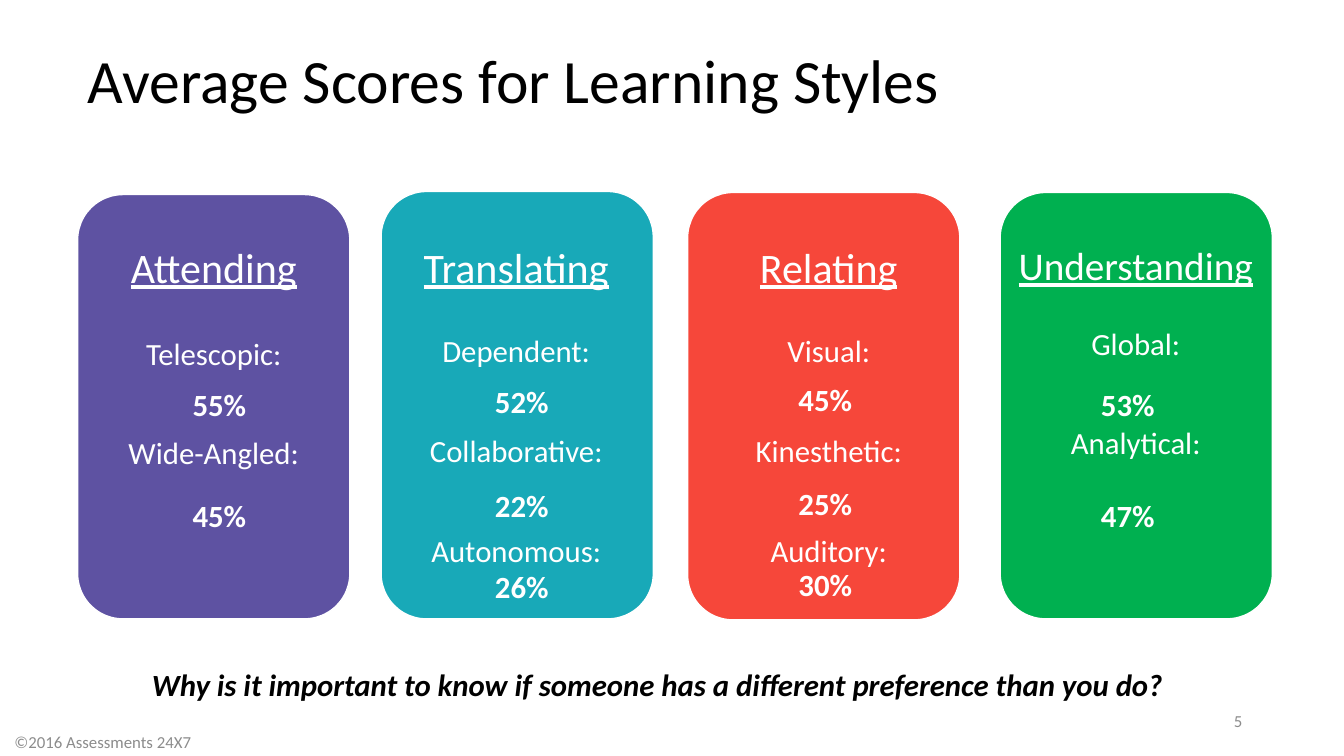
from dataclasses import dataclass
from pptx import Presentation
from pptx import util as u
from pptx.dml.color import RGBColor
from pptx.enum import shapes, text

PX = 9144  # EMU per px, 100 px to the inch
FONT = "Calibri"
COLORS = {
    "purple": "5E52A2", "teal": "18A9B8", "red": "F6473A", "green": "00B050",
    "white": "FFFFFF", "black": "000000", "gray": "8C8C8C",
}
CENTER = text.PP_ALIGN.CENTER
MIDDLE = text.MSO_ANCHOR.MIDDLE


@dataclass
class Line:
    wording: str
    size: int
    color: str = "white"
    before: float = 0
    bold: bool = False
    italic: bool = False
    underline: bool = False


@dataclass
class Box:
    left: int
    top: int
    width: int
    height: int


@dataclass
class Card:
    color: str
    box: Box
    heading: str
    heading_size: int
    label_box: Box
    label_gap: float  # points between heading and first label
    labels: list[str]
    value_box: Box
    values: list[str]
    value_gaps: list[float]  # points before each value


def rgb(name: str) -> RGBColor:
    return RGBColor.from_string(COLORS[name])


def place(shape, box: Box) -> None:
    shape.left, shape.top = box.left * PX, box.top * PX
    shape.width, shape.height = box.width * PX, box.height * PX


def write(shape, lines: list[Line], align, anchor=text.MSO_ANCHOR.TOP,
          spacing: float = 1.0) -> None:
    frame = shape.text_frame
    frame.word_wrap = True
    frame.vertical_anchor = anchor
    frame.text = "\n".join(line.wording for line in lines)
    for paragraph, line in zip(frame.paragraphs, lines):
        paragraph.alignment = align
        paragraph.line_spacing = spacing
        paragraph.space_before = u.Pt(line.before)
        for run in paragraph.runs:
            font = run.font
            font.name, font.size = FONT, u.Pt(line.size)
            font.bold, font.italic = line.bold, line.italic
            font.underline = line.underline
            font.color.rgb = rgb(line.color)


def add_text(slide, box: Box, lines: list[Line], align=CENTER,
             anchor=text.MSO_ANCHOR.TOP, spacing: float = 1.0):
    shape = slide.shapes.add_textbox(0, 0, 0, 0)
    place(shape, box)
    write(shape, lines, align, anchor, spacing)
    return shape


def add_card(slide, card: Card) -> None:
    # Coloured panel
    panel = slide.shapes.add_shape(shapes.MSO_SHAPE.ROUNDED_RECTANGLE, 0, 0, 0, 0)
    place(panel, card.box)
    panel.shadow.inherit = False
    panel.fill.solid()
    panel.fill.fore_color.rgb = rgb(card.color)
    panel.line.color.rgb = rgb("white")
    panel.line.width = u.Pt(1)

    # Heading and labels
    lines = [Line(card.heading, card.heading_size, underline=True)]
    for index, label in enumerate(card.labels):
        lines.append(Line(label, 22, before=47.5 if index else card.label_gap))
    frame = add_text(slide, card.label_box, lines, spacing=0.9).text_frame
    frame.margin_left = frame.margin_top = frame.margin_right = 23 * PX
    frame.margin_bottom = 0

    # Percentages
    add_text(slide, card.value_box,
             [Line(value, 22, before=gap, bold=True)
              for value, gap in zip(card.values, card.value_gaps)])


CARDS = [
    Card("purple", Box(77, 193, 270, 421), "Attending", 30,
         Box(77, 222, 270, 380), 33, ["Telescopic:", "Wide-Angled:"],
         Box(160, 378, 115, 158), ["55%", "45%"], [0, 53]),
    Card("teal", Box(378, 190, 270, 424), "Translating", 30,
         Box(377, 222, 270, 380), 31.5,
         ["Dependent:", "Collaborative:", "Autonomous:"],
         Box(460, 375, 115, 232), ["52%", "22%", "26%"], [0, 48, 31]),
    Card("red", Box(682, 191, 270, 424), "Relating", 30,
         Box(687, 222, 270, 380), 31.5, ["Visual:", "Kinesthetic:", "Auditory:"],
         Box(761, 373, 115, 232), ["45%", "25%", "30%"], [0, 48, 31]),
    Card("green", Box(992, 191, 270, 423), "Understanding", 28,
         Box(968, 222, 317, 380), 28, ["Global:", "Analytical:"],
         Box(1061, 378, 115, 158), ["53%", "47%"], [0, 53]),
]


def main() -> None:
    presentation = Presentation()
    presentation.slide_width, presentation.slide_height = 1333 * PX, 750 * PX
    slide = presentation.slides.add_slide(presentation.slide_layouts[5])

    # Title
    title = slide.shapes.title
    place(title, Box(77, 10, 1150, 145))
    write(title, [Line("Average Scores for Learning Styles", 44, "black")],
          text.PP_ALIGN.LEFT, MIDDLE, 0.9)

    # Learning style cards
    for card in CARDS:
        add_card(slide, card)

    # Closing question
    add_text(slide, Box(113, 656, 1078, 47),
             [Line("Why is it important to know if someone has a different "
                   "preference than you do?", 22, "black", bold=True, italic=True)])

    # Footer and slide number
    add_text(slide, Box(2, 722, 200, 28),
             [Line("©2016 Assessments 24X7", 12, "gray")], anchor=MIDDLE)
    add_text(slide, Box(942, 695, 300, 40), [Line("5", 12, "gray")],
             text.PP_ALIGN.RIGHT, MIDDLE)

    presentation.save("out.pptx")


if __name__ == "__main__":
    main()
